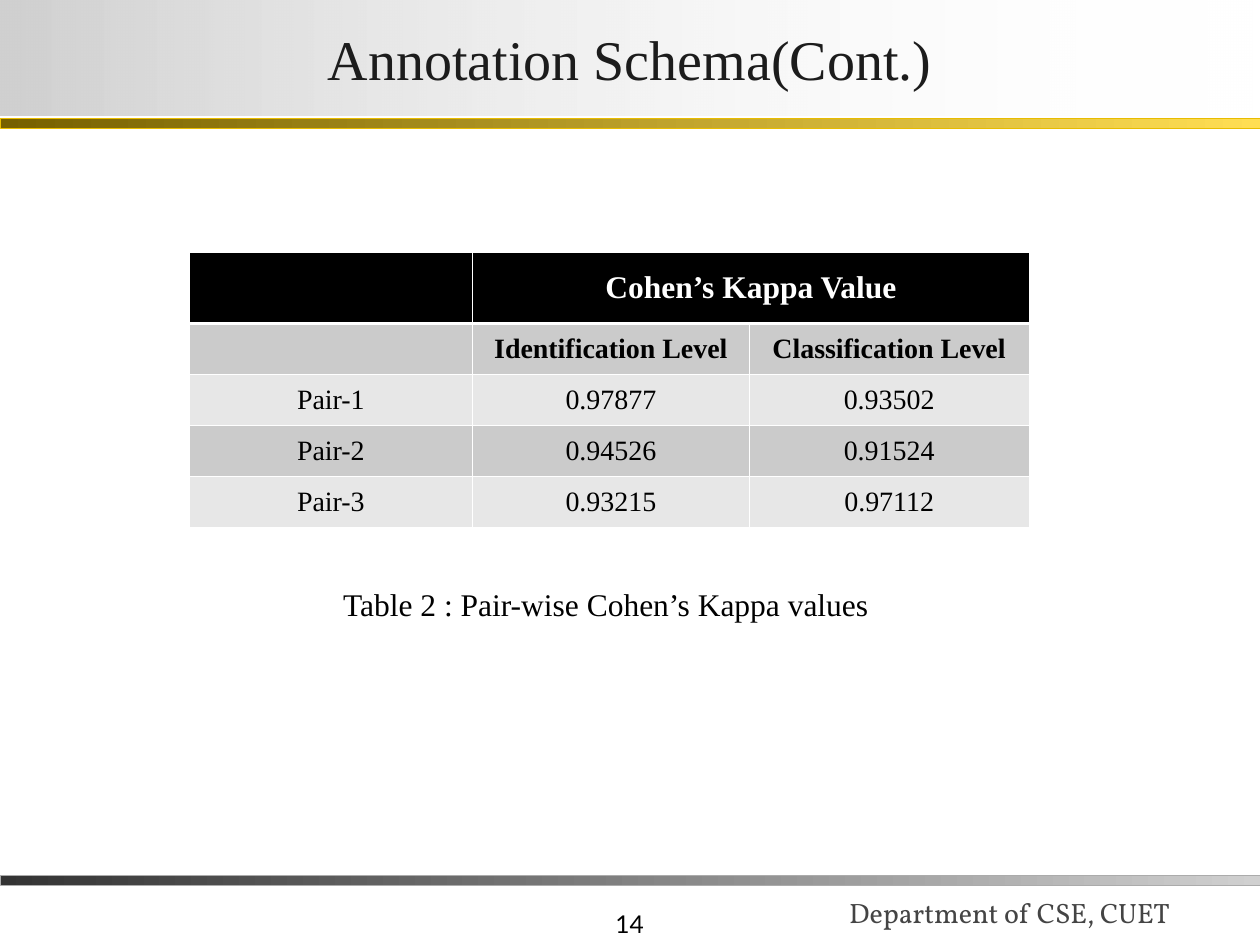
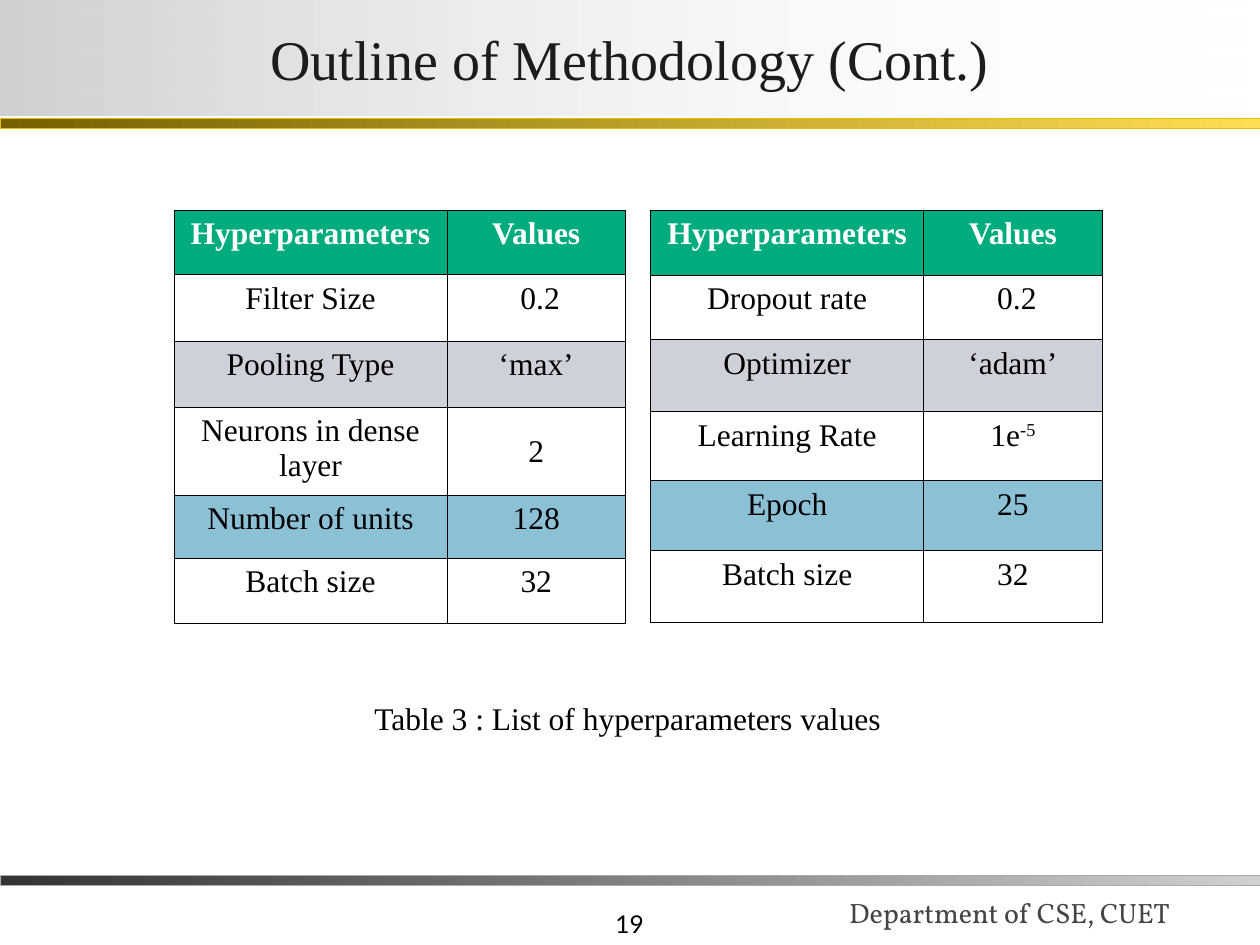
import lxml.etree
import pptx
import pptx.dml.color
import pptx.enum.shapes
import pptx.enum.text
import pptx.oxml.ns
import pptx.util
from pptx.util import Cm, Pt

COLORS = {
    "black": "000000",
    "white": "FFFFFF",
    "title": "1C1C1C",
    "footer": "444444",
    "silver": "D0D0D0",
    "charcoal": "333333",
    "footer edge": "ABABAB",
    "bronze": "766000",
    "gold": "FFDE53",
    "gold edge": "E8BC00",
    "dark band": "CBCBCB",
    "light band": "E7E7E7",
    "green": "00AB7E",
    "lavender": "CFD1DA",
    "blue": "8CC0D5",
}
SERIF = "Times New Roman"
SLIDE_WIDTH = 25.4
ALIGN = pptx.enum.text.PP_ALIGN
ANCHOR = pptx.enum.text.MSO_ANCHOR

KAPPA_LEFT = 3.81
KAPPA_HEADER = ["", "Cohen’s Kappa Value"]
KAPPA_ROWS = [
    ["", "", ""],
    ["", "Identification Level", "Classification Level"],
    ["Pair-1", "0.97877", "0.93502"],
    ["Pair-2", "0.94526", "0.91524"],
    ["Pair-3", "0.93215", "0.97112"],
]
KAPPA_FILLS = ["black", "dark band", "light band", "dark band", "light band"]
NETWORK_ROWS = [
    ["Hyperparameters", "Values"],
    ["Filter Size", " 0.2"],
    ["Pooling Type", "‘max’"],
    ["Neurons in dense layer", "2"],
    ["Number of units", "128"],
    ["Batch size", "32"],
]
TRAINING_ROWS = [
    ["Hyperparameters", "Values"],
    ["Dropout rate", " 0.2"],
    ["Optimizer", "‘adam’"],
    ["Learning Rate", "1e^-5"],
    ["Epoch", "25"],
    ["Batch size", "32"],
]
HYPERPARAMETER_FILLS = ["green", None, "lavender", None, "blue", None]


def rgb(color):
    return pptx.dml.color.RGBColor.from_string(COLORS[color])


def write(frame, text, size, color="black", font=SERIF, align=ALIGN.LEFT, bold=False):
    """Fill the first paragraph; text after a caret is raised."""
    paragraph = frame.paragraphs[0]
    paragraph.alignment = align
    paragraph.font.name = font
    paragraph.font.size = Pt(size)
    paragraph.font.bold = bold
    paragraph.font.color.rgb = rgb(color)
    base, _, exponent = text.partition("^")
    paragraph.add_run().text = base
    if exponent:
        raised = paragraph.add_run()
        raised.text = exponent
        raised._r.get_or_add_rPr().set("baseline", "30000")


def add_label(slide, text, box, size, anchor=ANCHOR.TOP, **style):
    frame = slide.shapes.add_textbox(*map(Cm, box)).text_frame
    frame.word_wrap = True
    frame.vertical_anchor = anchor
    write(frame, text, size, **style)


def add_band(slide, top, height, start, end, edge=None):
    """Draw a full-width bar shaded from left to right; without an edge it fades out."""
    band = slide.shapes.add_shape(
        pptx.enum.shapes.MSO_SHAPE.RECTANGLE, 0, Cm(top), Cm(SLIDE_WIDTH), Cm(height))
    band.shadow.inherit = False
    band.fill.gradient()
    band.fill.gradient_angle = 0
    for stop, color in zip(band.fill.gradient_stops, (start, end)):
        stop.color.rgb = rgb(color)
    if edge:
        band.line.color.rgb = rgb(edge)
        band.line.width = Pt(0.25)
    else:
        band.line.fill.background()
        last_color = band._element.spPr.findall(".//" + pptx.oxml.ns.qn("a:srgbClr"))[-1]
        lxml.etree.SubElement(last_color, pptx.oxml.ns.qn("a:alpha"), val="0")
    return band


def add_base_slide(deck, title, number):
    slide = deck.slides.add_slide(deck.slide_layouts[6])
    add_label(slide, number, (7.95, 17.78, 5.28, 1.27), 14, ANCHOR.BOTTOM,
              font="Lato", align=ALIGN.RIGHT)
    add_label(slide, "Department of CSE, CUET", (16.87, 17.25, 8.5, 1.6), 16,
              ANCHOR.BOTTOM, color="footer", font="Vollkorn")
    add_band(slide, 17.65, 0.2, "charcoal", "silver", "footer edge")
    add_band(slide, 2.39, 0.2, "bronze", "gold", "gold edge")
    heading = add_band(slide, 0, 2.33, "silver", "white").text_frame
    heading.vertical_anchor = ANCHOR.MIDDLE
    write(heading, title, 32, color="title", align=ALIGN.CENTER)
    return slide


def set_borders(cell, color, **widths):
    """Draw all four sides; widths overrides 0.45 pt by side (L, R, T, B)."""
    properties = cell._tc.get_or_add_tcPr()
    for position, side in enumerate("LRTB"):
        line = lxml.etree.Element(pptx.oxml.ns.qn("a:ln" + side),
                                  w=str(Pt(widths.get(side, 0.45))))
        fill = lxml.etree.SubElement(line, pptx.oxml.ns.qn("a:solidFill"))
        lxml.etree.SubElement(fill, pptx.oxml.ns.qn("a:srgbClr"), val=COLORS[color])
        properties.insert(position, line)


def add_grid(slide, rows, left, top, widths, heights):
    """Place an unstyled table of the given size."""
    grid = slide.shapes.add_table(
        len(rows), len(widths), Cm(left), Cm(top),
        Cm(sum(widths)), Cm(sum(heights))).table
    grid.first_row = grid.horz_banding = False
    for column, width in zip(grid.columns, widths):
        column.width = Cm(width)
    for row, height in zip(grid.rows, heights):
        row.height = Cm(height)
    return grid


def fill_cell(cell, text, fill, size, color="black", bold=False):
    if fill:
        cell.fill.solid()
        cell.fill.fore_color.rgb = rgb(fill)
    else:
        cell.fill.background()
    if text:
        write(cell.text_frame, text, size, color, align=ALIGN.CENTER, bold=bold)


def add_kappa_body(slide):
    grid = add_grid(slide, KAPPA_ROWS, KAPPA_LEFT, 5.49, [5.72, 5.57, 5.65], [1.03] * 5)
    for r, (row, fill) in enumerate(zip(KAPPA_ROWS, KAPPA_FILLS)):
        for c, text in enumerate(row):
            cell = grid.cell(r, c)
            fill_cell(cell, text, fill, 16, bold=r == 1)
            cell.vertical_anchor = ANCHOR.MIDDLE
            set_borders(cell, "white", T=1.47 if r == 1 else 0.45,
                        B=1.47 if r == 0 else 0.45)


def add_kappa_header(slide):
    """Set the heading whose right cell spans both level columns."""
    grid = add_grid(slide, [KAPPA_HEADER], KAPPA_LEFT, 5.08, [5.72, 11.22], [1.44])
    for cell, text in zip(grid.iter_cells(), KAPPA_HEADER):
        fill_cell(cell, text, "black", 18, "white", True)
        cell.vertical_anchor = ANCHOR.MIDDLE
        set_borders(cell, "white", B=1.47)


def add_hyperparameter_table(slide, rows, left, heights):
    grid = add_grid(slide, rows, left, 4.24, [5.5, 3.6], heights)
    for r, (row, fill) in enumerate(zip(rows, HYPERPARAMETER_FILLS)):
        header = r == 0
        for c, text in enumerate(row):
            cell = grid.cell(r, c)
            fill_cell(cell, text, fill, 18, "white" if header else "black", header)
            set_borders(cell, "black")
    return grid


def main():
    deck = pptx.Presentation()
    deck.slide_width, deck.slide_height = Cm(SLIDE_WIDTH), Cm(19.05)

    annotation = add_base_slide(deck, "Annotation Schema(Cont.)", "14")
    add_label(annotation, "Table 2 : Pair-wise Cohen’s Kappa values",
              (6.67, 11.67, 12.06, 1.02), 18)
    add_kappa_body(annotation)
    add_kappa_header(annotation)

    methodology = add_base_slide(deck, "Outline of Methodology (Cont.)", "19")
    add_hyperparameter_table(methodology, TRAINING_ROWS, 13.12,
                             [1.31, 1.3, 1.45, 1.39, 1.41, 1.45])
    add_label(methodology, "Table 3 : List of hyperparameters values",
              (7.3, 13.97, 10.8, 1.02), 18)
    network = add_hyperparameter_table(methodology, NETWORK_ROWS, 3.51,
                                       [1.3, 1.34, 1.33, 1.78, 1.27, 1.31])
    network.cell(3, 1).vertical_anchor = ANCHOR.MIDDLE

    deck.save("out.pptx")


if __name__ == "__main__":
    main()
